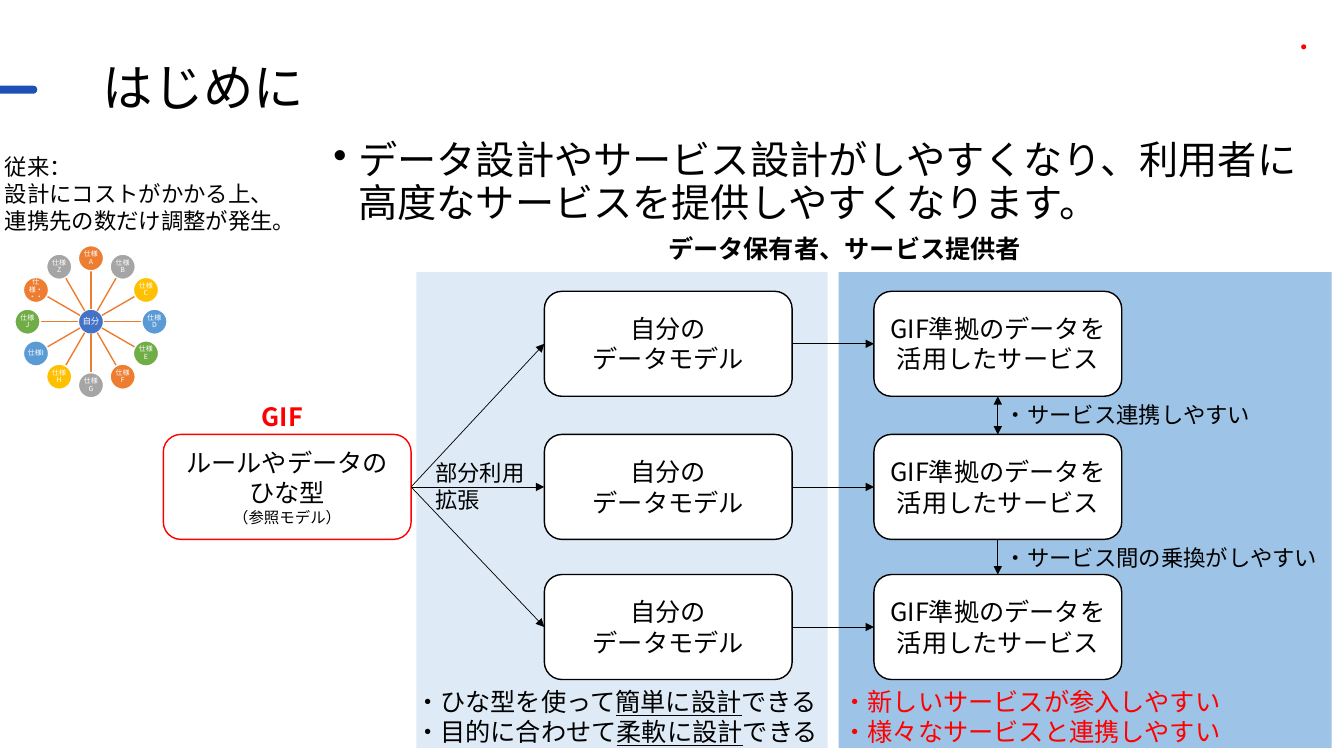
from dataclasses import dataclass
from math import cos, radians, sin

from lxml import etree
from pptx import Presentation
from pptx.dml.color import RGBColor as RGB
from pptx.enum.shapes import MSO_CONNECTOR as Conn, MSO_SHAPE as Shape
from pptx.enum.text import MSO_ANCHOR as Anchor, MSO_AUTO_SIZE as Fit, PP_ALIGN as Align
from pptx.oxml.ns import qn
from pptx.util import Inches, Pt


@dataclass(frozen=True)
class Theme:
    font: str = "Noto Sans CJK JP"
    title_font: str = "Roboto"
    ink: str = "000000"
    paper: str = "FFFFFF"
    red: str = "FF0000"
    bar: str = "1E50B5"
    light: str = "DEEBF7"
    dark: str = "9DC3E6"
    hub: str = "4472C4"
    orange: str = "ED7D31"
    grey: str = "A5A5A5"
    gold: str = "FFC000"
    sky: str = "5B9BD5"
    green: str = "70AD47"
    title: float = 36
    lead: float = 28
    body: float = 18
    label: float = 16
    small: float = 11
    hub_text: float = 6
    node_text: float = 5


T = Theme()
COLS, ROWS = 160, 90  # square grid cells, 12 to the inch


def write(sp, paragraphs, size=T.body, color=T.ink, font=T.font, bold=None,
          align=Align.LEFT, anchor=Anchor.TOP, spacing=None, bullet=None, inset=None):
    """Fill sp; a paragraph is a string or a list of (text, overrides) runs."""
    tf = sp.text_frame
    tf.word_wrap, tf.vertical_anchor = True, anchor
    if inset is not None:
        tf.margin_left = tf.margin_right = tf.margin_top = tf.margin_bottom = inset
    for i, runs in enumerate(paragraphs):
        p = tf.add_paragraph() if i else tf.paragraphs[0]
        if bullet:
            pPr = p._p.get_or_add_pPr()
            pPr.set("marL", str(Inches(0.25)))
            pPr.set("indent", str(-Inches(0.25)))
            etree.SubElement(pPr, qn("a:buChar")).set("char", bullet)
        p.alignment = align
        if spacing:
            p.line_spacing = spacing
        for text, extra in [(runs, {})] if isinstance(runs, str) else runs:
            r = p.add_run()
            r.text = text
            r.font.size = Pt(extra.get("size", size))
            r.font.bold = bold
            r.font.underline = extra.get("underline")
            r.font.color.rgb = RGB.from_string(color)
            r.font.name = font
            etree.SubElement(r._r.get_or_add_rPr(), qn("a:ea")).set("typeface", T.font)


class Canvas:
    """Current slide, drawn in grid columns and rows."""

    def __init__(self, prs):
        self.cell_w, self.cell_h = prs.slide_width / COLS, prs.slide_height / ROWS
        self.shapes = prs.slides.add_slide(prs.slide_layouts[6]).shapes

    def place(self, *lengths):
        return [round(n * (self.cell_h if i % 2 else self.cell_w))
                for i, n in enumerate(lengths)]

    def shape(self, kind, x, y, w, h, fill, line=None):
        sp = self.shapes.add_shape(kind, *self.place(x, y, w, h))
        sp.shadow.inherit = False
        sp.fill.solid()
        sp.fill.fore_color.rgb = RGB.from_string(fill)
        if line:
            sp.line.color.rgb = RGB.from_string(line)
            sp.line.width = Pt(1)
        else:
            sp.line.fill.background()
        return sp

    def box(self, x, y, paragraphs, line=T.ink):
        sp = self.shape(Shape.ROUNDED_RECTANGLE, x, y, BOX_W, BOX_H, T.paper, line)
        write(sp, paragraphs, align=Align.CENTER, anchor=Anchor.MIDDLE)
        return sp

    def disc(self, x, y, d, fill, text, size):
        sp = self.shape(Shape.OVAL, x - d / 2, y - d / 2, d, d, fill, T.paper)
        write(sp, [text], size=size, color=T.paper, align=Align.CENTER,
              anchor=Anchor.MIDDLE, spacing=0.9, inset=0)

    def text(self, x, y, w, h, paragraphs, wrap=False, grow=True, **fmt):
        sp = self.shapes.add_textbox(*self.place(x, y, w, h))
        write(sp, paragraphs, **fmt)
        sp.text_frame.word_wrap = wrap
        sp.text_frame.auto_size = Fit.SHAPE_TO_FIT_TEXT if grow else Fit.NONE

    def line(self, x1, y1, x2, y2, color, width):
        cx = self.shapes.add_connector(Conn.STRAIGHT, *self.place(x1, y1, x2, y2))
        cx.line.color.rgb = RGB.from_string(color)
        cx.line.width = Pt(width)
        etree.SubElement(cx._element.spPr, qn("a:effectLst"))
        return cx

    def arrow(self, start, start_side, end, end_side, both=False):
        cx = self.line(0, 0, 1, 1, T.ink, 0.5)
        cx.begin_connect(start, start_side)
        cx.end_connect(end, end_side)
        for tag in ("a:headEnd", "a:tailEnd") if both else ("a:tailEnd",):
            etree.SubElement(cx.line._get_or_add_ln(), qn(tag)).set("type", "triangle")


TOP, LEFT, BOTTOM, RIGHT = range(4)
BOX_W, BOX_H = 29.5, 12.5
RULE_X, MODEL_X, SERVICE_X = 19.44, 64.8, 104.04
BOX_ROWS = (34.68, 51.72, 68.4)
HUB_X, HUB_Y, ORBIT, DISC = 10.83, 38.3, 7.56, 3
NODES = [("A", T.orange), ("B", T.grey), ("C", T.gold), ("D", T.sky),
         ("E", T.green), ("F", T.orange), ("G", T.grey), ("H", T.gold),
         ("I", T.sky), ("J", T.green), ("・・・", T.orange), ("Z", T.grey)]


def draw_hub(c):
    c.disc(HUB_X, HUB_Y, DISC, T.hub, "自分", T.hub_text)
    for i, (name, color) in enumerate(NODES):
        angle = radians(i * 360 / len(NODES))
        dx, dy = sin(angle), -cos(angle)
        near, far = DISC / 2, ORBIT - DISC / 2
        c.line(HUB_X + near * dx, HUB_Y + near * dy,
               HUB_X + far * dx, HUB_Y + far * dy, T.orange, 1)
        c.disc(HUB_X + ORBIT * dx, HUB_Y + ORBIT * dy, DISC, color,
               "仕様" + name, T.node_text)


def draw_flow(c):
    rule = c.box(RULE_X, BOX_ROWS[1], ["ルールやデータの", "ひな型",
                 [("（参照モデル）", {"size": T.small})]], T.red)
    services = []
    for y in BOX_ROWS:
        model = c.box(MODEL_X, y, ["自分の", "データモデル"])
        service = c.box(SERVICE_X, y, ["GIF準拠のデータを活用したサービス"])
        c.arrow(rule, RIGHT, model, LEFT)
        c.arrow(model, RIGHT, service, LEFT)
        services.append(service)
    c.arrow(services[0], BOTTOM, services[1], TOP, both=True)
    c.arrow(services[1], BOTTOM, services[2], TOP)


def main():
    prs = Presentation()
    prs.slide_width, prs.slide_height = Inches(13.33), Inches(7.5)
    c = Canvas(prs)

    # Page marks, title and lead
    bar = c.shape(Shape.ROUNDED_RECTANGLE, -1.2, 10.2, 5.64, 0.96, T.bar)
    bar.adjustments[0] = 0.5
    c.shape(Shape.OVAL, 154.9, 5.28, 0.6, 0.6, T.red)
    c.text(11.04, 6.84, 138, 7.8, ["はじめに"], wrap=True, size=T.title,
           font=T.title_font, anchor=Anchor.MIDDLE, spacing=0.9)
    c.text(38.5, 16.2, 118.6, 7.8,
           ["データ設計やサービス設計がしやすくなり、利用者に高度なサービスを提供しやすくなります。"],
           wrap=True, grow=False, size=T.lead, spacing=0.9, bullet="•")

    # Panels and flow
    c.shape(Shape.RECTANGLE, 99.84, 32.4, 58.7, 56.64, T.dark)
    c.shape(Shape.RECTANGLE, 49.56, 32.4, 48.96, 56.64, T.light)
    draw_flow(c)

    # Headings and notes
    c.text(30, 47.16, 7.56, 4.8, ["GIF"], color=T.red, bold=True)
    c.text(78.36, 27.24, 44.9, 4.8, ["データ保有者、サービス提供者"], bold=True)
    c.text(50.64, 54.12, 13.2, 7.68, ["部分利用", "拡張"], size=T.label)
    c.text(118.44, 47.16, 32, 4.44, ["・サービス連携しやすい"], size=T.label)
    c.text(118.44, 64.2, 40, 4.44, ["・サービス間の乗換がしやすい"], size=T.label)
    c.text(48.24, 81.12, 50.9, 8.52,
           [[(start, {}), (key, {"underline": True}), ("できる", {})]
            for start, key in (("・ひな型を使って", "簡単に設計"),
                               ("・目的に合わせて", "柔軟に設計"))])
    c.text(99.12, 81.12, 47.9, 8.52,
           ["・新しいサービスが参入しやすい", "・様々なサービスと連携しやすい"], color=T.red)

    # Conventional approach
    c.text(-0.6, 17.64, 35.64, 10.92,
           ["従来：", "設計にコストがかかる上、連携先の数だけ調整が発生。"],
           wrap=True, size=T.label)
    draw_hub(c)

    prs.save("out.pptx")


if __name__ == "__main__":
    main()
